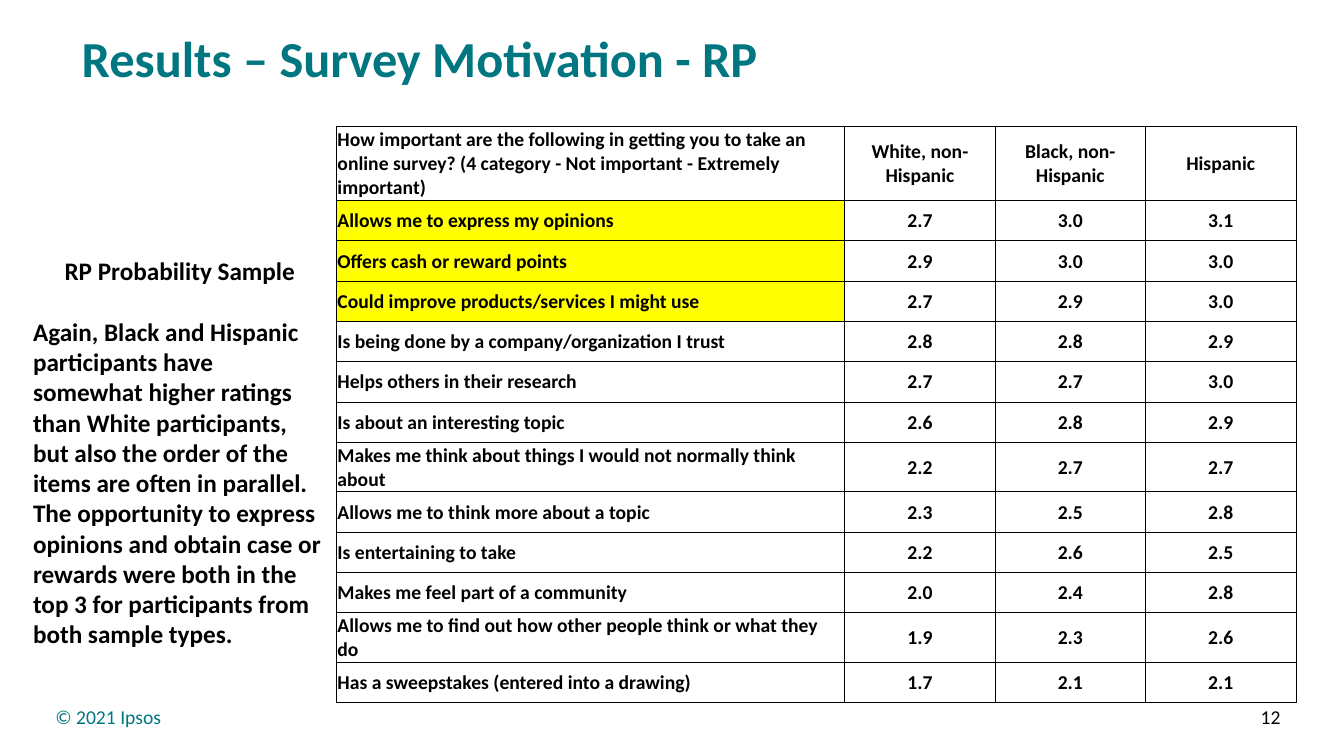
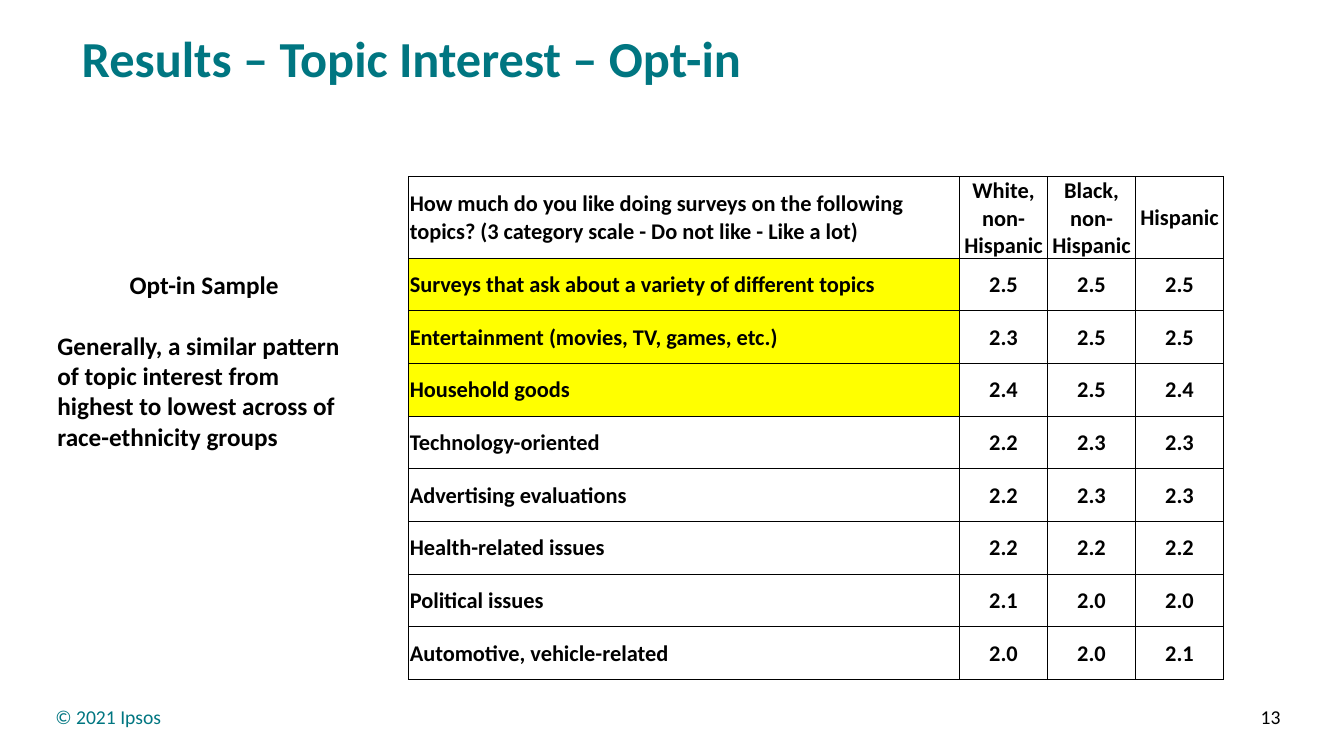
"""Build two survey result slides, each with a sample note and a ratings table."""

from dataclasses import dataclass
from typing import Any

from lxml import etree
from pptx import Presentation
from pptx.dml.color import RGBColor
from pptx.enum.text import MSO_ANCHOR, MSO_AUTO_SIZE, PP_ALIGN
from pptx.oxml.ns import qn
from pptx.util import Inches, Pt

LEFT, CENTER, RIGHT = PP_ALIGN.LEFT, PP_ALIGN.CENTER, PP_ALIGN.RIGHT
TOP, MIDDLE = MSO_ANCHOR.TOP, MSO_ANCHOR.MIDDLE
GROW = MSO_AUTO_SIZE.SHAPE_TO_FIT_TEXT

TEAL = RGBColor(0x00, 0x76, 0x81)
BLACK = RGBColor(0x00, 0x00, 0x00)
YELLOW = RGBColor(0xFF, 0xFF, 0x00)

SLIDE_WIDTH, SLIDE_HEIGHT = Inches(13.33), Inches(7.5)
GRID_ROWS = 180
UNIT = SLIDE_HEIGHT / GRID_ROWS
BLANK_LAYOUT = 6

FONT = "Calibri"
TITLE_FONT = {"name": FONT, "size": Pt(36), "bold": True}
NOTE_FONT = {"name": FONT, "size": Pt(18), "bold": True}
FOOTER_FONT = {"name": FONT, "size": Pt(14), "bold": False}
CELL_FORMAT = {
    "vertical_anchor": MIDDLE,
    "margin_left": Inches(0.01),
    "margin_right": Inches(0.01),
    "margin_top": Inches(0.01),
    "margin_bottom": 0,
}
BORDER_WIDTH = Pt(0.5)
BORDER_SIDES = ("a:lnL", "a:lnR", "a:lnT", "a:lnB")
NOTE_GAP = Pt(22)
COPYRIGHT = "© 2021 Ipsos"
GROUPS = ("White, non-Hispanic", "Black, non-Hispanic", "Hispanic")
TOP_ITEMS = 3


@dataclass(frozen=True)
class Area:
    """A rectangle in grid columns and rows."""

    column: float
    row: float
    columns: float
    rows: float

    def lengths(self) -> list[int]:
        """Return left, top, width and height."""
        return [grid(n) for n in (self.column, self.row, self.columns, self.rows)]


@dataclass(frozen=True)
class Rating:
    """A survey item with its mean score in each group."""

    item: str
    scores: tuple[str, str, str]
    rows: float


@dataclass(frozen=True)
class RatingTable:
    """A question with its ratings and table measures."""

    column: float
    row: float
    item_columns: float
    score_columns: float
    header_rows: float
    font_size: int
    question: str
    ratings: tuple[Rating, ...]


@dataclass(frozen=True)
class ResultSlide:
    """The content of one result slide."""

    number: int
    title: str
    sample: str
    finding: str
    note_area: Area
    table: RatingTable


TITLE_AREA = Area(17.1, 3.8, 274, 21.6)
COPYRIGHT_AREA = Area(10.8, 165.8, 72, 9.6)
NUMBER_AREA = Area(235.2, 165.8, 72, 9.6)
ROW, TALL_ROW, TOPIC_ROW = 9.6, 11.8, 12.54

MOTIVATIONS = (
    Rating("Allows me to express my opinions", ("2.7", "3.0", "3.1"), ROW),
    Rating("Offers cash or reward points", ("2.9", "3.0", "3.0"), ROW),
    Rating("Could improve products/services I might use", ("2.7", "2.9", "3.0"), ROW),
    Rating("Is being done by a company/organization I trust", ("2.8", "2.8", "2.9"), ROW),
    Rating("Helps others in their research", ("2.7", "2.7", "3.0"), ROW),
    Rating("Is about an interesting topic", ("2.6", "2.8", "2.9"), ROW),
    Rating("Makes me think about things I would not normally think about",
           ("2.2", "2.7", "2.7"), TALL_ROW),
    Rating("Allows me to think more about a topic", ("2.3", "2.5", "2.8"), ROW),
    Rating("Is entertaining to take", ("2.2", "2.6", "2.5"), ROW),
    Rating("Makes me feel part of a community", ("2.0", "2.4", "2.8"), ROW),
    Rating("Allows me to find out how other people think or what they do",
           ("1.9", "2.3", "2.6"), TALL_ROW),
    Rating("Has a sweepstakes (entered into a drawing)", ("1.7", "2.1", "2.1"), ROW),
)
TOPICS = (
    Rating("Surveys that ask about a variety of different topics",
           ("2.5", "2.5", "2.5"), TOPIC_ROW),
    Rating("Entertainment (movies, TV, games, etc.)", ("2.3", "2.5", "2.5"), TOPIC_ROW),
    Rating("Household goods", ("2.4", "2.5", "2.4"), TOPIC_ROW),
    Rating("Technology-oriented", ("2.2", "2.3", "2.3"), TOPIC_ROW),
    Rating("Advertising evaluations", ("2.2", "2.3", "2.3"), TOPIC_ROW),
    Rating("Health-related issues", ("2.2", "2.2", "2.2"), TOPIC_ROW),
    Rating("Political issues", ("2.1", "2.0", "2.0"), TOPIC_ROW),
    Rating("Automotive, vehicle-related", ("2.0", "2.0", "2.1"), TOPIC_ROW),
)
RESULTS = (
    ResultSlide(
        12,
        "Results – Survey Motivation - RP",
        "RP Probability Sample",
        "Again, Black and Hispanic participants have somewhat higher ratings than White "
        "participants, but also the order of the items are often in parallel. The "
        "opportunity to express opinions and obtain case or rewards were both in the "
        "top 3 for participants from both sample types.",
        Area(5.5, 59.6, 74.6, 97),
        RatingTable(
            80.1, 30, 121, 35.8, 17.7, 14,
            "How important are the following in getting you to take an online survey? "
            "(4 category - Not important - Extremely important)",
            MOTIVATIONS,
        ),
    ),
    ResultSlide(
        13,
        "Results – Topic Interest – Opt-in",
        "Opt-in Sample",
        "Generally, a similar pattern of topic interest from highest to lowest across of "
        "race-ethnicity groups",
        Area(11.3, 62.9, 74.6, 46),
        RatingTable(
            97.3, 42, 131.1, 20.95, 19.3, 16,
            "How much do you like doing surveys on the following topics? "
            "(3 category scale - Do not like - Like a lot)",
            TOPICS,
        ),
    ),
)


def grid(count: float) -> int:
    """Turn a count of grid units into a length."""
    return round(count * UNIT)


def apply_format(target: Any, values: dict[str, Any]) -> None:
    """Set each named attribute on the target."""
    for attribute, value in values.items():
        setattr(target, attribute, value)


def write(paragraph: Any, text: str, font: dict[str, Any], color: RGBColor,
          align: int = LEFT) -> None:
    """Write one formatted run into a paragraph."""
    paragraph.alignment = align
    run = paragraph.add_run()
    run.text = text
    apply_format(run.font, font)
    run.font.color.rgb = color


def add_frame(slide: Any, area: Area, anchor: int = MIDDLE) -> Any:
    """Add a wrapping text box and return its text frame."""
    frame = slide.shapes.add_textbox(*area.lengths()).text_frame
    apply_format(frame, {"word_wrap": True, "vertical_anchor": anchor})
    return frame


def add_shared_parts(slide: Any, result: ResultSlide) -> None:
    """Add the title, the copyright line and the slide number."""
    title = add_frame(slide, TITLE_AREA).paragraphs[0]
    title.line_spacing = 0.9
    write(title, result.title, TITLE_FONT, TEAL)
    write(add_frame(slide, COPYRIGHT_AREA).paragraphs[0], COPYRIGHT, FOOTER_FONT, TEAL)
    write(add_frame(slide, NUMBER_AREA).paragraphs[0], str(result.number),
          FOOTER_FONT, BLACK, RIGHT)


def add_note(slide: Any, result: ResultSlide) -> None:
    """Add the sample name with the finding below it."""
    frame = add_frame(slide, result.note_area, TOP)
    frame.auto_size = GROW
    write(frame.paragraphs[0], result.sample, NOTE_FONT, BLACK, CENTER)
    finding = frame.add_paragraph()
    finding.space_before = NOTE_GAP
    write(finding, result.finding, NOTE_FONT, BLACK)


def add_borders(cell: Any) -> None:
    """Draw a thin black line on each side of a cell."""
    properties = cell._tc.get_or_add_tcPr()
    for side in BORDER_SIDES:
        line = etree.SubElement(properties, qn(side), w=str(BORDER_WIDTH))
        fill = etree.SubElement(line, qn("a:solidFill"))
        etree.SubElement(fill, qn("a:srgbClr"), val=str(BLACK))


def add_ratings(slide: Any, content: RatingTable) -> None:
    """Add the ratings table with its top items highlighted."""
    lines = [(content.question, *GROUPS)]
    lines += [(rating.item, *rating.scores) for rating in content.ratings]
    heights = [content.header_rows] + [rating.rows for rating in content.ratings]
    widths = [content.item_columns] + [content.score_columns] * len(GROUPS)
    area = Area(content.column, content.row, sum(widths), sum(heights))
    table = slide.shapes.add_table(len(lines), len(widths), *area.lengths()).table
    apply_format(table, {"first_row": False, "horz_banding": False})
    for column, width in zip(table.columns, widths):
        column.width = grid(width)
    for row, height in zip(table.rows, heights):
        row.height = grid(height)
    font = {"name": FONT, "size": Pt(content.font_size), "bold": True}
    for r, line in enumerate(lines):
        for c, text in enumerate(line):
            cell = table.cell(r, c)
            apply_format(cell, CELL_FORMAT)
            add_borders(cell)
            if c == 0 and 1 <= r <= TOP_ITEMS:
                cell.fill.solid()
                cell.fill.fore_color.rgb = YELLOW
            else:
                cell.fill.background()
            write(cell.text_frame.paragraphs[0], text, font, BLACK,
                  CENTER if c else LEFT)


def main() -> None:
    """Build and save the presentation."""
    deck = Presentation()
    apply_format(deck, {"slide_width": SLIDE_WIDTH, "slide_height": SLIDE_HEIGHT})
    for result in RESULTS:
        slide = deck.slides.add_slide(deck.slide_layouts[BLANK_LAYOUT])
        add_shared_parts(slide, result)
        add_ratings(slide, result.table)
        add_note(slide, result)
    deck.save("out.pptx")


if __name__ == "__main__":
    main()
